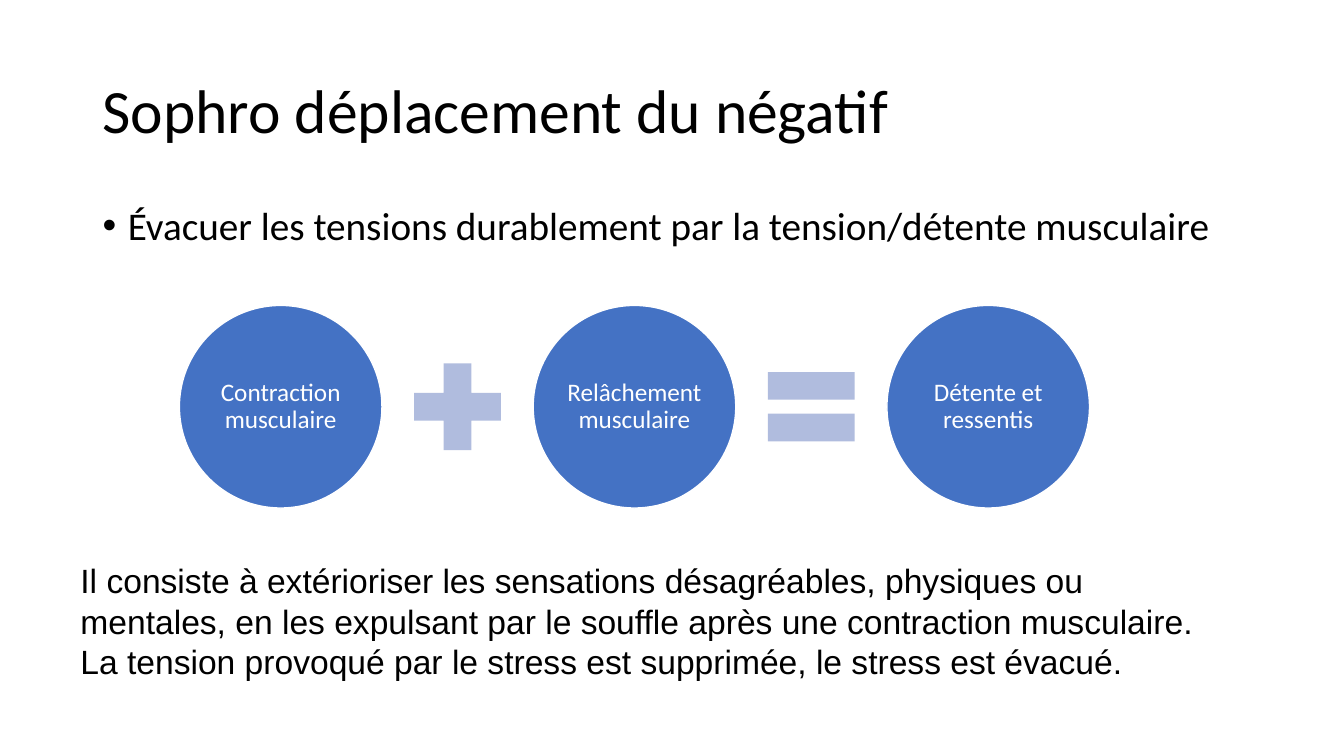
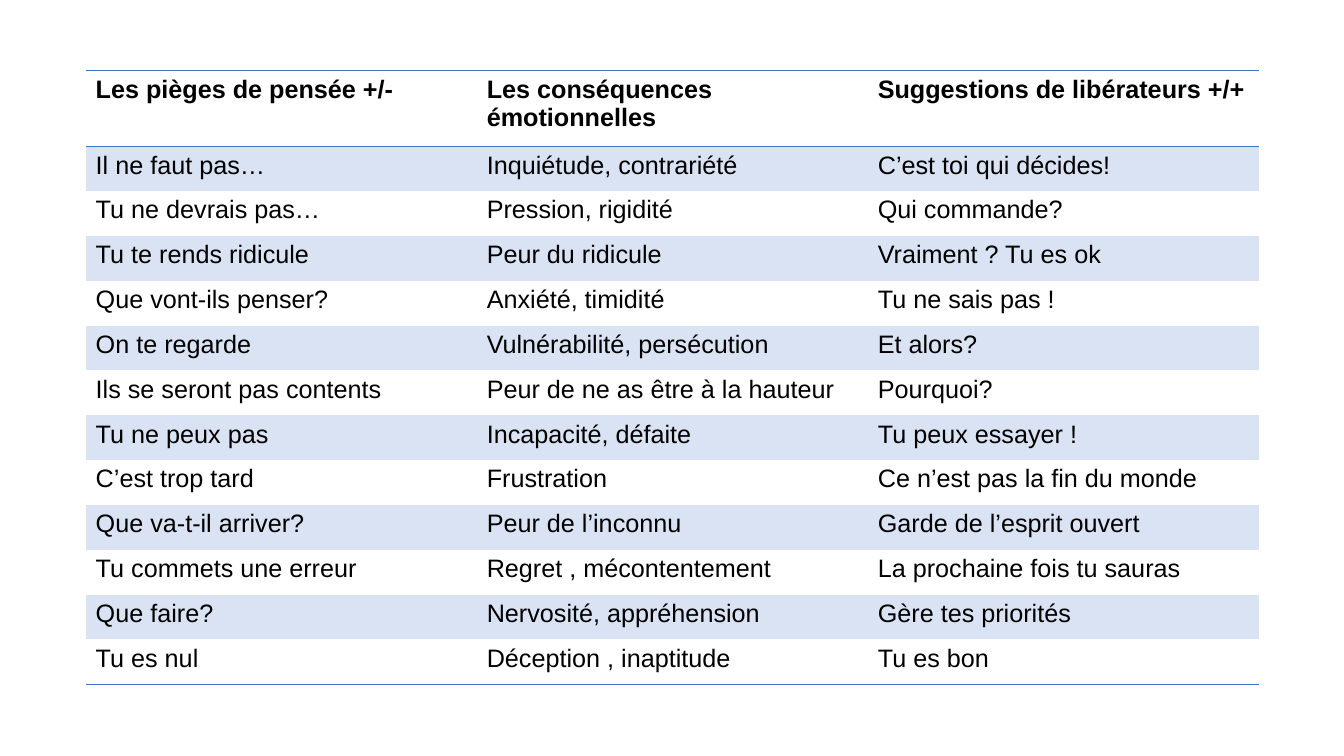
from pptx import Presentation
from pptx.dml.color import RGBColor
from pptx.enum.shapes import MSO_SHAPE
from pptx.enum.text import MSO_ANCHOR, PP_ALIGN
from pptx.oxml.ns import qn
from pptx.util import Pt
from lxml.etree import SubElement

# Shared style: 200 px to the inch
SCALE = 4572
BLUE, PALE, BAND = "4472C4", "B0BCDE", "DAE3F3"
BLACK, WHITE = "000000", "FFFFFF"
HEAD, BODY = "Calibri", "Arial"
NO_STYLE = "{2D5ABB26-0587-4C30-8999-92F81FD0307C}"

STEPS = ["Contraction musculaire", "Relâchement musculaire", "Détente et ressentis"]
SIGNS = [MSO_SHAPE.MATH_PLUS, MSO_SHAPE.MATH_EQUAL]
ROWS = [
    ("Les pièges de pensée +/-", "Les conséquences émotionnelles", "Suggestions de libérateurs +/+"),
    ("Il ne faut pas…", "Inquiétude, contrariété", "C’est toi qui décides!"),
    ("Tu ne devrais pas…", "Pression, rigidité", "Qui commande?"),
    ("Tu te rends ridicule", "Peur du ridicule", "Vraiment ? Tu es ok"),
    ("Que vont-ils penser?", "Anxiété, timidité", "Tu ne sais pas !"),
    ("On te regarde", "Vulnérabilité, persécution", "Et alors?"),
    ("Ils se seront pas contents", "Peur de ne as être à la hauteur", "Pourquoi?"),
    ("Tu ne peux pas", "Incapacité, défaite", "Tu peux essayer !"),
    ("C’est trop tard", "Frustration", "Ce n’est pas la fin du monde"),
    ("Que va-t-il arriver?", "Peur de l’inconnu", "Garde de l’esprit ouvert"),
    ("Tu commets une erreur", "Regret , mécontentement", "La prochaine fois tu sauras"),
    ("Que faire?", "Nervosité, appréhension", "Gère tes priorités"),
    ("Tu es nul", "Déception , inaptitude", "Tu es bon"),
]


def px(n):
    return n * SCALE


def color(code):
    return RGBColor.from_string(code)


def write(frame, text, size, font, ink=BLACK, bold=False, lead=None):
    """Fill a text frame with one styled paragraph and return it."""
    frame.text = text
    frame.word_wrap = True
    para = frame.paragraphs[0]
    if lead:
        para.line_spacing = lead
    for run in para.runs:
        run.font.size = Pt(size)
        run.font.name = font
        run.font.bold = bold
        run.font.color.rgb = color(ink)
    return para


def label(slide, box, text, size, font, anchor=MSO_ANCHOR.TOP, lead=None):
    frame = slide.shapes.add_textbox(*map(px, box)).text_frame
    frame.vertical_anchor = anchor
    return write(frame, text, size, font, lead=lead)


def bullet(para):
    para.space_before = Pt(10)
    props = para._p.get_or_add_pPr()
    props.set("marL", str(px(50)))
    props.set("indent", str(px(-50)))
    SubElement(props, qn("a:buFont")).set("typeface", BODY)
    SubElement(props, qn("a:buChar")).set("char", "•")


def shape(slide, kind, left, top, size, fill):
    item = slide.shapes.add_shape(kind, *map(px, (left, top, size, size)))
    item.shadow.inherit = False
    item.fill.solid()
    item.fill.fore_color.rgb = color(fill)
    item.line.fill.background()
    return item


def circle(slide, left, top, size, text):
    item = shape(slide, MSO_SHAPE.OVAL, left, top, size, BLUE)
    item.line.color.rgb = color(WHITE)
    item.line.width = Pt(1)
    frame = item.text_frame
    frame.margin_left = frame.margin_right = px(6)
    frame.margin_top = frame.margin_bottom = px(6)
    frame.vertical_anchor = MSO_ANCHOR.MIDDLE
    para = write(frame, text, 18, HEAD, WHITE, lead=0.9)
    para.alignment = PP_ALIGN.CENTER


def chain(slide, left, top):
    """Circles joined by signs, with one gap throughout."""
    size, sign, gap = 402, 234, 33
    pitch = size + sign + 2 * gap
    for i, text in enumerate(STEPS):
        circle(slide, left + i * pitch, top, size, text)
    for i, kind in enumerate(SIGNS):
        start = left + i * pitch + size + gap
        shape(slide, kind, start, top + (size - sign) // 2, sign, PALE)


def border(cell, side):
    line = SubElement(cell._tc.get_or_add_tcPr(), qn("a:" + side), w=str(Pt(1)))
    fill = SubElement(line, qn("a:solidFill"))
    SubElement(fill, qn("a:srgbClr")).set("val", BLUE)


def grid(slide, left, top, width, first, rest):
    count, cols = len(ROWS), len(ROWS[0])
    box = (left, top, cols * width, first + (count - 1) * rest)
    table = slide.shapes.add_table(count, cols, *map(px, box)).table
    table._tbl.tblPr.find(qn("a:tableStyleId")).text = NO_STYLE
    for col in table.columns:
        col.width = px(width)
    for r, texts in enumerate(ROWS):
        table.rows[r].height = px(rest if r else first)
        for c, text in enumerate(texts):
            cell = table.cell(r, c)
            write(cell.text_frame, text, 18, BODY, bold=r == 0)
            # Rules above and below the header, and under the last row
            if r == 0:
                border(cell, "lnT")
            if r in (0, count - 1):
                border(cell, "lnB")
            if r % 2:
                cell.fill.solid()
                cell.fill.fore_color.rgb = color(BAND)
            else:
                cell.fill.background()


def main():
    deck = Presentation()
    deck.slide_width, deck.slide_height = px(2667), px(1500)
    blank = deck.slide_layouts[6]

    # Tension and release
    slide = deck.slides.add_slide(blank)
    label(slide, (184, 80, 2300, 290), "Sophro déplacement du négatif",
          44, HEAD, MSO_ANCHOR.MIDDLE, 0.9)
    bullet(label(slide, (184, 400, 2300, 120),
                 "Évacuer les tensions durablement par la tension/détente musculaire",
                 28, HEAD, lead=0.9))
    chain(slide, 356, 606)
    label(slide, (140, 1102, 2300, 262),
          "Il consiste à extérioriser les sensations désagréables, physiques ou "
          "mentales, en les expulsant par le souffle après une contraction "
          "musculaire. La tension provoqué par le stress est supprimée, le stress "
          "est évacué.", 24, BODY)

    # Thought traps
    slide = deck.slides.add_slide(blank)
    grid(slide, 170, 140, 776, 150, 89)

    deck.save("out.pptx")


if __name__ == "__main__":
    main()
